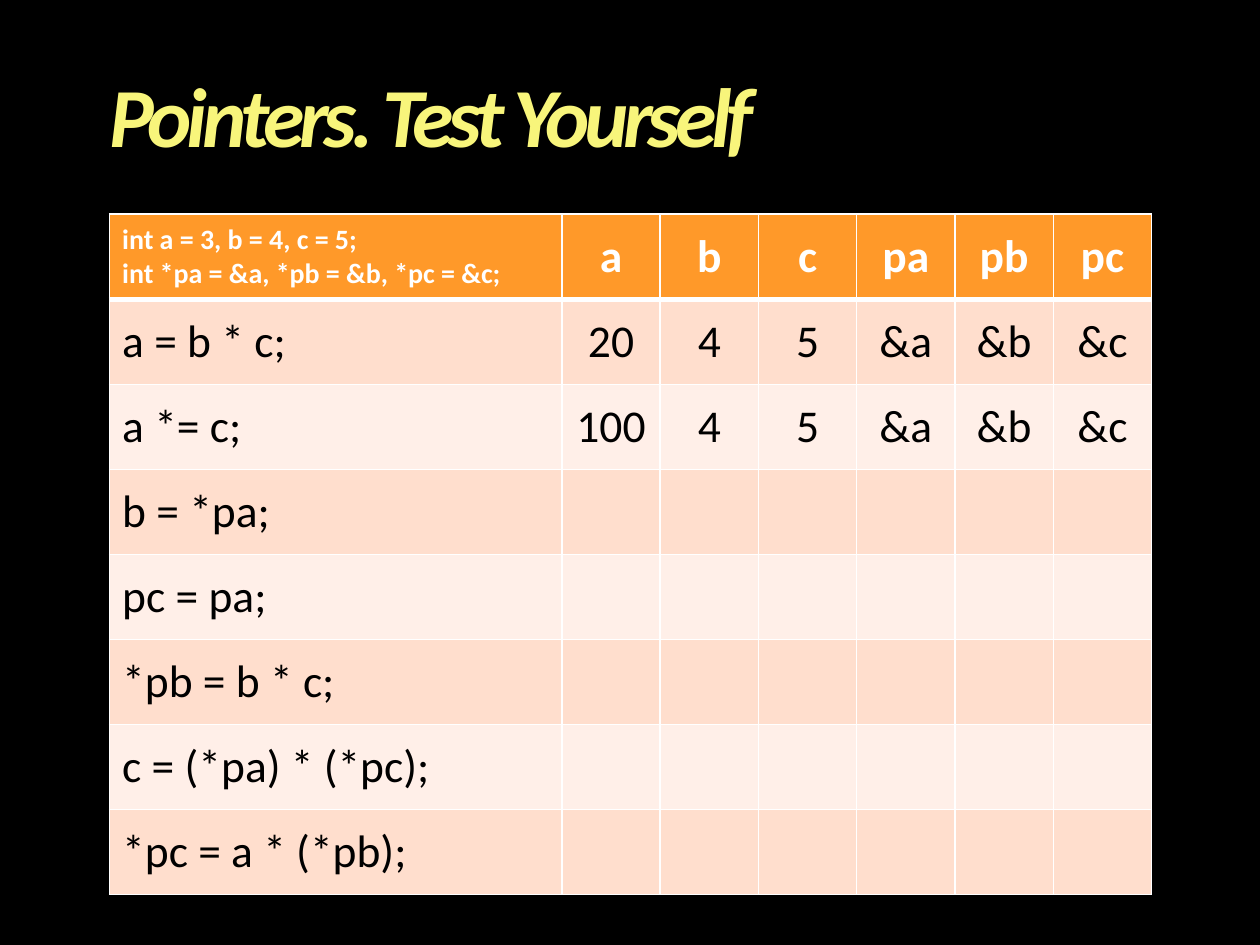
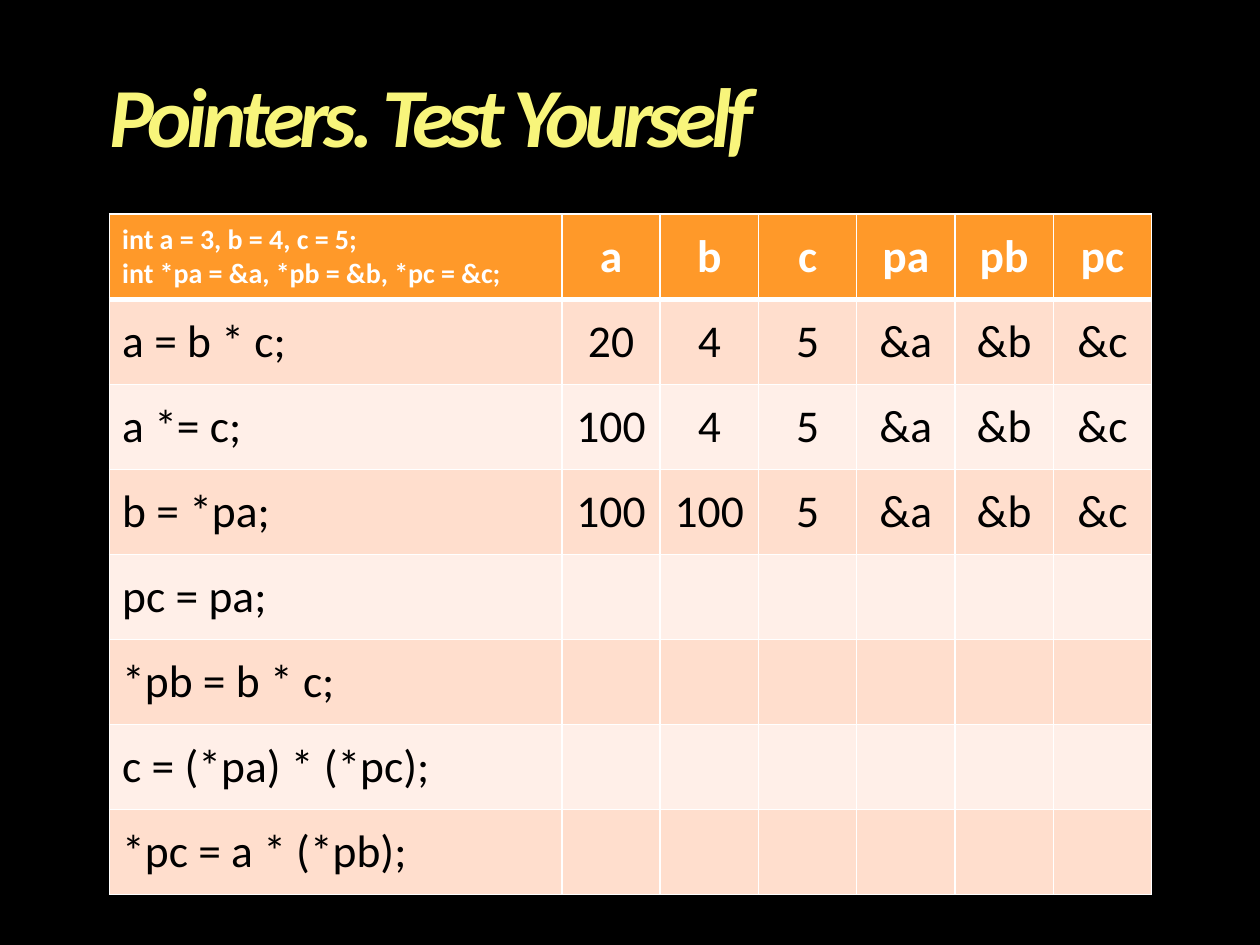
from lxml.etree import SubElement
from pptx import Presentation
from pptx.dml.color import RGBColor
from pptx.enum.text import MSO_ANCHOR, PP_ALIGN
from pptx.oxml.ns import qn
from pptx.util import Inches, Pt

TITLE = "Pointers. Test Yourself"
HEAD = ["int a = 3, b = 4, c = 5;\nint *pa = &a, *pb = &b, *pc = &c;",
        "a", "b", "c", "pa", "pb", "pc"]
STEPS = ["a = b * c;", "a *= c;", "b = *pa;", "pc = pa;",
         "*pb = b * c;", "c = (*pa) * (*pc);", "*pc = a * (*pb);"]
ADDRS = ["&a", "&b", "&c"]
ANSWERS = [["20", "4", "5"], ["100", "4", "5"], ["100", "100", "5"]]
SHOWN = [2, 3]  # solved rows on each slide

FONT = "Calibri"
BLACK, WHITE, ORANGE = "000000", "FFFFFF", "FF9929"
BANDS = ["FFDECD", "FFEFE8"]
GLOW = [(0, "FFEBD4"), (28, "F8F57B"), (62, "D5B953"), (88, "D1943B")]

LEFT, WIDTH = 0.87, 8.27
TITLE_TOP, TITLE_H = 0.6, 0.71
GRID_TOP, GRID_H = 1.7, 5.4
CODE_W, VALUE_W = 3.59, 0.78


def color(code):
    return RGBColor.from_string(code)


def write(frame, text, size=26, ink=BLACK, bold=False, italic=False,
          align=PP_ALIGN.LEFT):
    """Fill the frame, one paragraph a line, and return the last run."""
    frame.text = text
    for para in frame.paragraphs:
        para.alignment = align
        for run in para.runs:
            font = run.font
            font.name, font.size = FONT, Pt(size)
            font.bold, font.italic = bold, italic
            font.color.rgb = color(ink)
    return run if text else None


def glow(run):
    """Give the run tight letters and the vertical title gradient."""
    props = run.font._element
    props.set("spc", "-300")
    run.font.fill.gradient()
    run.font.fill.gradient_angle = 270
    stops = props.find(qn("a:gradFill")).find(qn("a:gsLst"))
    for old in list(stops):
        stops.remove(old)
    for pos, code in GLOW:
        stop = SubElement(stops, qn("a:gs"), pos=str(pos * 1000))
        SubElement(stop, qn("a:srgbClr"), val=code)


def border(cell, **widths):
    """Draw white cell edges; widths are points by side: L, R, T, B."""
    props = cell._tc.get_or_add_tcPr()
    for side, width in widths.items():
        line = SubElement(props, qn("a:ln" + side), w=str(Pt(width)))
        fill = SubElement(line, qn("a:solidFill"))
        SubElement(fill, qn("a:srgbClr"), val=WHITE)


def add_title(slide):
    title = slide.shapes.title
    title.left, title.top = Inches(LEFT), Inches(TITLE_TOP)
    title.width, title.height = Inches(WIDTH), Inches(TITLE_H)
    frame = title.text_frame
    frame.margin_left = frame.margin_right = 0
    frame.margin_top = frame.margin_bottom = 0
    frame.vertical_anchor = MSO_ANCHOR.MIDDLE
    frame.word_wrap = True
    glow(write(frame, TITLE, size=48, bold=True, italic=True))
    para = frame.paragraphs[0]
    para.line_spacing, para.space_before = 0.9, Pt(10)


def add_grid(slide, solved):
    values = [row + ADDRS for row in ANSWERS[:solved]]
    values += [[""] * (len(HEAD) - 1)] * (len(STEPS) - solved)
    rows = [HEAD] + [[step] + row for step, row in zip(STEPS, values)]
    grid = slide.shapes.add_table(
        len(rows), len(HEAD), Inches(LEFT), Inches(GRID_TOP),
        Inches(WIDTH), Inches(GRID_H)).table
    for i, col in enumerate(grid.columns):
        col.width = Inches(VALUE_W if i else CODE_W)
    for r, row in enumerate(rows):
        for c, text in enumerate(row):
            cell = grid.cell(r, c)
            border(cell, L=1, R=1, T=3 if r == 1 else 1, B=1 if r else 3)
            cell.fill.solid()
            cell.fill.fore_color.rgb = color(BANDS[(r - 1) % 2] if r else ORANGE)
            cell.vertical_anchor = MSO_ANCHOR.MIDDLE
            write(cell.text_frame, text, size=26 if r or c else 16,
                  ink=BLACK if r else WHITE, bold=r == 0,
                  align=PP_ALIGN.CENTER if c else PP_ALIGN.LEFT)


def main():
    deck = Presentation()
    deck.slide_width, deck.slide_height = Inches(10), Inches(7.5)
    back = deck.slide_master.background.fill
    back.solid()
    back.fore_color.rgb = color(BLACK)
    for solved in SHOWN:
        slide = deck.slides.add_slide(deck.slide_layouts[5])
        add_title(slide)
        add_grid(slide, solved)
    deck.save("out.pptx")


if __name__ == "__main__":
    main()
